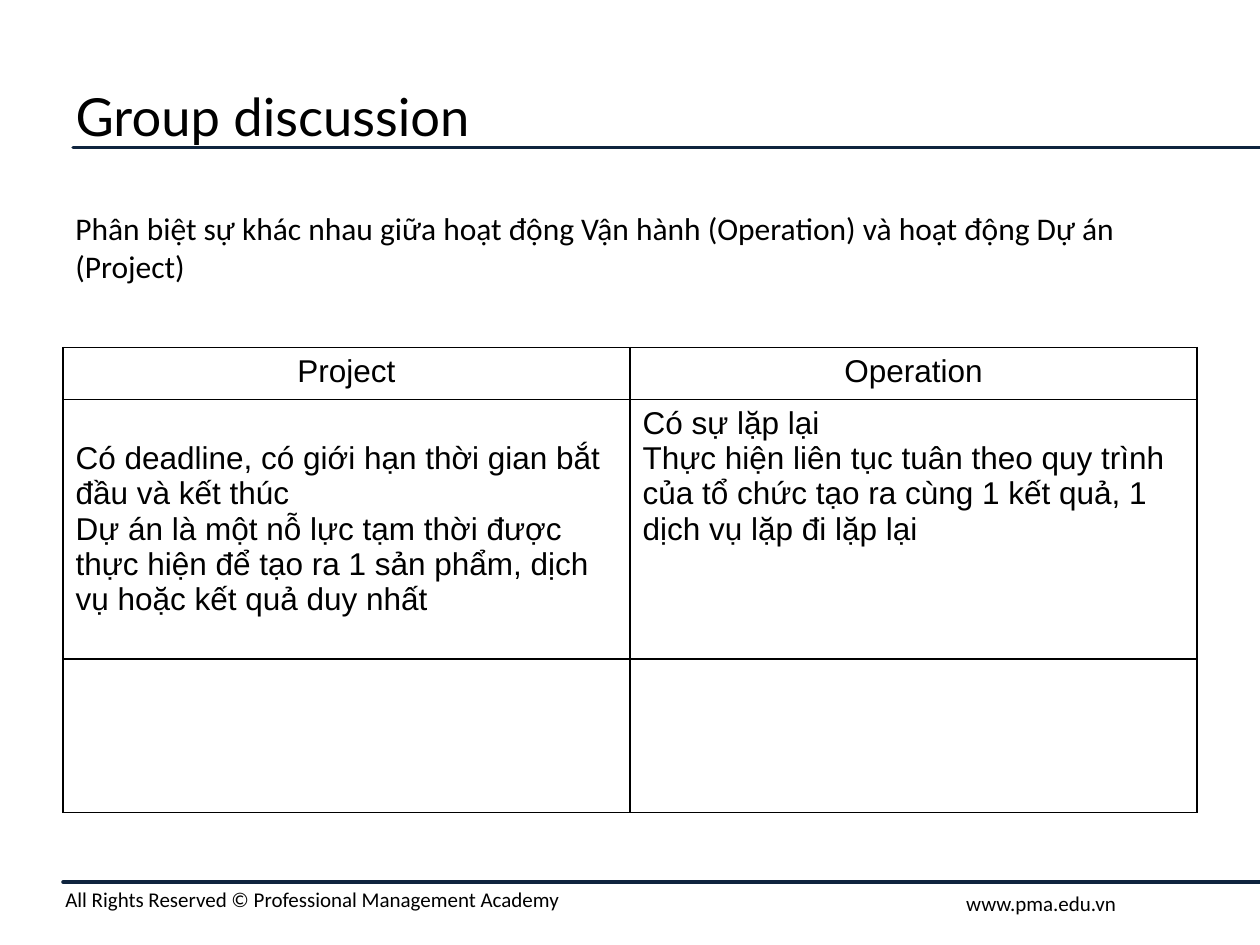
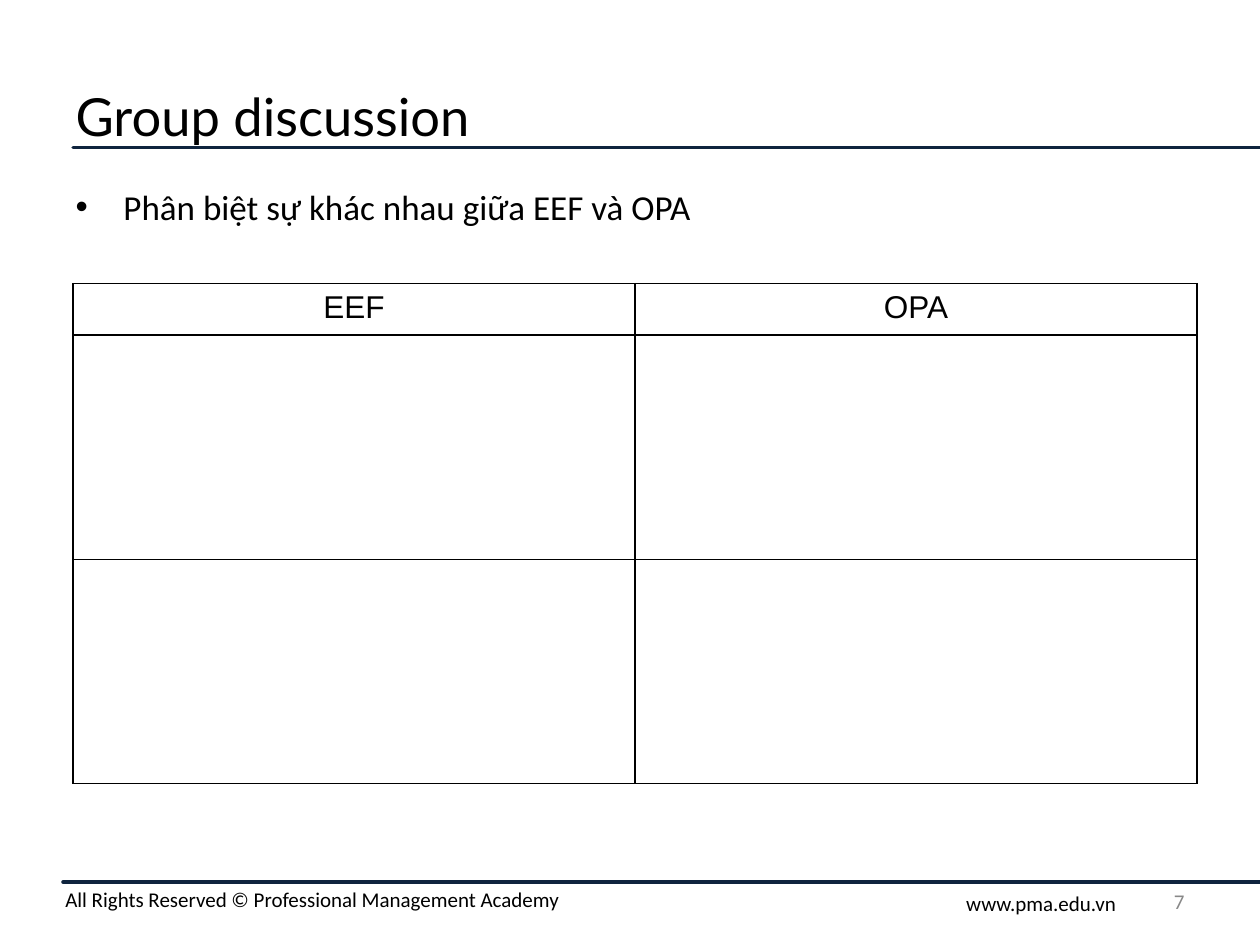
from lxml.etree import SubElement
from pptx import Presentation
from pptx.dml.color import RGBColor
from pptx.enum.shapes import MSO_CONNECTOR
from pptx.enum.text import MSO_ANCHOR, PP_ALIGN
from pptx.oxml.ns import qn
from pptx.util import Inches, Pt

BLACK = RGBColor(0x00, 0x00, 0x00)
NAVY = RGBColor(0x0F, 0x24, 0x3E)
GREY = RGBColor(0x88, 0x88, 0x88)
TITLE_FONT, BODY_FONT, TABLE_FONT = "Lato", "Calibri", "Arial"

SLIDE_WIDTH, SLIDE_HEIGHT = Inches(10), Inches(7.5)
COLUMNS, ROWS = 10, 7.5
MARGIN = 0.5
CONTENT_WIDTH = COLUMNS - 2 * MARGIN
TITLE_LINE_LEFT = 0.58
TITLE_ONLY, TITLE_AND_BODY = 5, 1
HEADER_ROW = 0.41


def across(columns):
    return round(SLIDE_WIDTH * columns / COLUMNS)


def down(rows):
    return round(SLIDE_HEIGHT * rows / ROWS)


def area(left, top, width, height):
    """Turn grid columns and rows into a position and size."""
    return across(left), down(top), across(width), down(height)


def write(frame, *lines, size=18, font=BODY_FONT, color=BLACK,
          align=PP_ALIGN.LEFT, bullet_indent=None):
    for index, line in enumerate(lines):
        paragraph = frame.paragraphs[0] if index == 0 else frame.add_paragraph()
        paragraph.text = line
        if bullet_indent:
            add_bullet(paragraph, across(bullet_indent))
        paragraph.alignment = align
        paragraph.space_before = Pt(0)
        paragraph.font.size = Pt(size)
        paragraph.font.name = font
        paragraph.font.color.rgb = color


def add_bullet(paragraph, indent):
    properties = paragraph._p.get_or_add_pPr()
    properties.set("marL", str(indent))
    properties.set("indent", str(-indent))
    SubElement(properties, qn("a:buFont"), typeface="Arial")
    SubElement(properties, qn("a:buChar"), char="•")


def add_text(slide, place, *lines, anchor=MSO_ANCHOR.TOP, **text_format):
    frame = slide.shapes.add_textbox(*area(*place)).text_frame
    frame.word_wrap = True
    frame.vertical_anchor = anchor
    write(frame, *lines, **text_format)


def fill_placeholder(placeholder, place, *lines, anchor=MSO_ANCHOR.TOP, **text_format):
    placeholder.left, placeholder.top, placeholder.width, placeholder.height = area(*place)
    placeholder.text_frame.vertical_anchor = anchor
    write(placeholder.text_frame, *lines, **text_format)


def add_rule(slide, left, top):
    """Draw a navy line from left to the right edge of the slide."""
    rule = slide.shapes.add_connector(
        MSO_CONNECTOR.STRAIGHT, across(left), down(top), SLIDE_WIDTH, down(top))
    rule.line.color.rgb = NAVY
    rule.line.width = Pt(2)
    properties = rule._element.spPr
    properties.get_or_add_ln().set("cap", "rnd")
    SubElement(properties, qn("a:effectLst"))


def add_borders(cell):
    properties = cell._tc.get_or_add_tcPr()
    for side in ("lnL", "lnR", "lnT", "lnB"):
        border = SubElement(properties, qn(f"a:{side}"), w=str(Pt(1)))
        fill = SubElement(border, qn("a:solidFill"))
        SubElement(fill, qn("a:srgbClr"), val=str(BLACK))


def add_comparison(slide, left, top, headings, row_heights):
    """Add a plain ruled table that ends at the right margin."""
    width = COLUMNS - MARGIN - left
    place = area(left, top, width, sum(row_heights))
    table = slide.shapes.add_table(len(row_heights), len(headings), *place).table
    table.first_row = table.horz_banding = False
    for column in table.columns:
        column.width = across(width / len(headings))
    for row, height in zip(table.rows, row_heights):
        row.height = down(height)
    for cell in table.iter_cells():
        add_borders(cell)
        cell.fill.background()
    for column, heading in enumerate(headings):
        write(table.cell(0, column).text_frame, heading,
              font=TABLE_FONT, align=PP_ALIGN.CENTER)
    return table


def add_discussion_slide(presentation, layout):
    """Add a slide with the shared title, rules and footer."""
    slide = presentation.slides.add_slide(presentation.slide_layouts[layout])
    add_rule(slide, TITLE_LINE_LEFT, 1.17)
    add_rule(slide, MARGIN, 7)
    add_text(slide, (0.42, 6.99, 6, 0.3),
             "All Rights Reserved © Professional Management Academy", size=12)
    add_text(slide, (7.57, 7.02, 1.52, 0.3), "www.pma.edu.vn", size=12)
    fill_placeholder(slide.shapes.title, (MARGIN, 0.5, CONTENT_WIDTH, 0.83),
                     "Group discussion", size=30, font=TITLE_FONT,
                     anchor=MSO_ANCHOR.MIDDLE)
    return slide


def add_project_and_operation(presentation):
    slide = add_discussion_slide(presentation, TITLE_ONLY)
    table = add_comparison(slide, MARGIN, 2.76, ("Project", "Operation"),
                           (HEADER_ROW, 2.06, 1.22))
    project, operation = table.cell(1, 0), table.cell(1, 1)
    project.margin_top = down(0.33)
    write(project.text_frame,
          "Có deadline, có giới hạn thời gian bắt đầu và kết thúc",
          "Dự án là một nỗ lực tạm thời được thực hiện để tạo ra 1 sản phẩm, "
          "dịch vụ hoặc kết quả duy nhất", font=TABLE_FONT)
    write(operation.text_frame,
          "Có sự lặp lại",
          "Thực hiện liên tục tuân theo quy trình của tổ chức tạo ra cùng 1 kết quả, "
          "1 dịch vụ lặp đi lặp lại", font=TABLE_FONT)
    add_text(slide, (MARGIN, 1.61, CONTENT_WIDTH, 0.71),
             "Phân biệt sự khác nhau giữa hoạt động Vận hành (Operation) "
             "và hoạt động Dự án (Project)")


def add_eef_and_opa(presentation):
    slide = add_discussion_slide(presentation, TITLE_AND_BODY)
    fill_placeholder(slide.placeholders[1], (MARGIN, 1.42, CONTENT_WIDTH, 5.28),
                     "Phân biệt sự khác nhau giữa EEF và OPA",
                     size=20, bullet_indent=0.38)
    add_text(slide, (7.17, 6.95, 2.33, 0.4), "7", size=12, color=GREY,
             align=PP_ALIGN.RIGHT, anchor=MSO_ANCHOR.MIDDLE)
    add_comparison(slide, TITLE_LINE_LEFT, 2.25, ("EEF", "OPA"),
                   (HEADER_ROW, 1.78, 1.78))


def main():
    presentation = Presentation()
    presentation.slide_width, presentation.slide_height = SLIDE_WIDTH, SLIDE_HEIGHT
    add_project_and_operation(presentation)
    add_eef_and_opa(presentation)
    presentation.save("out.pptx")


if __name__ == "__main__":
    main()
